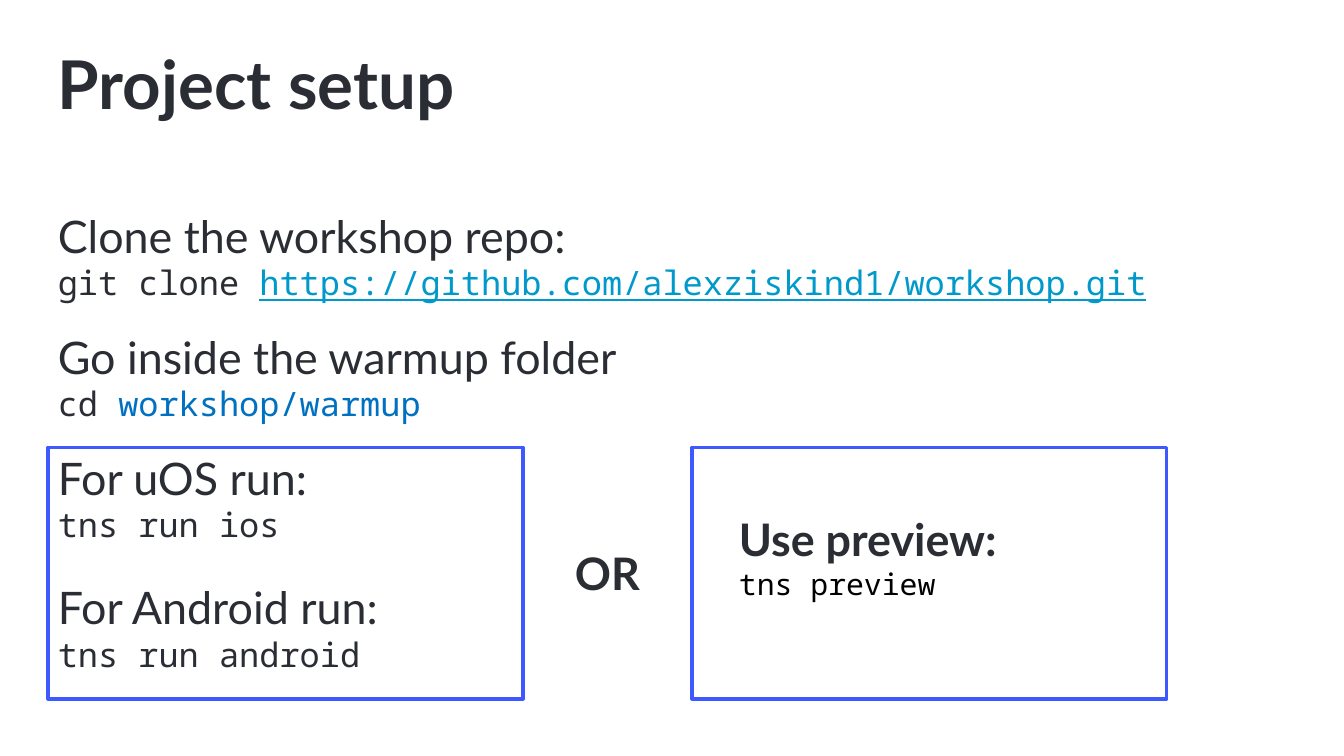
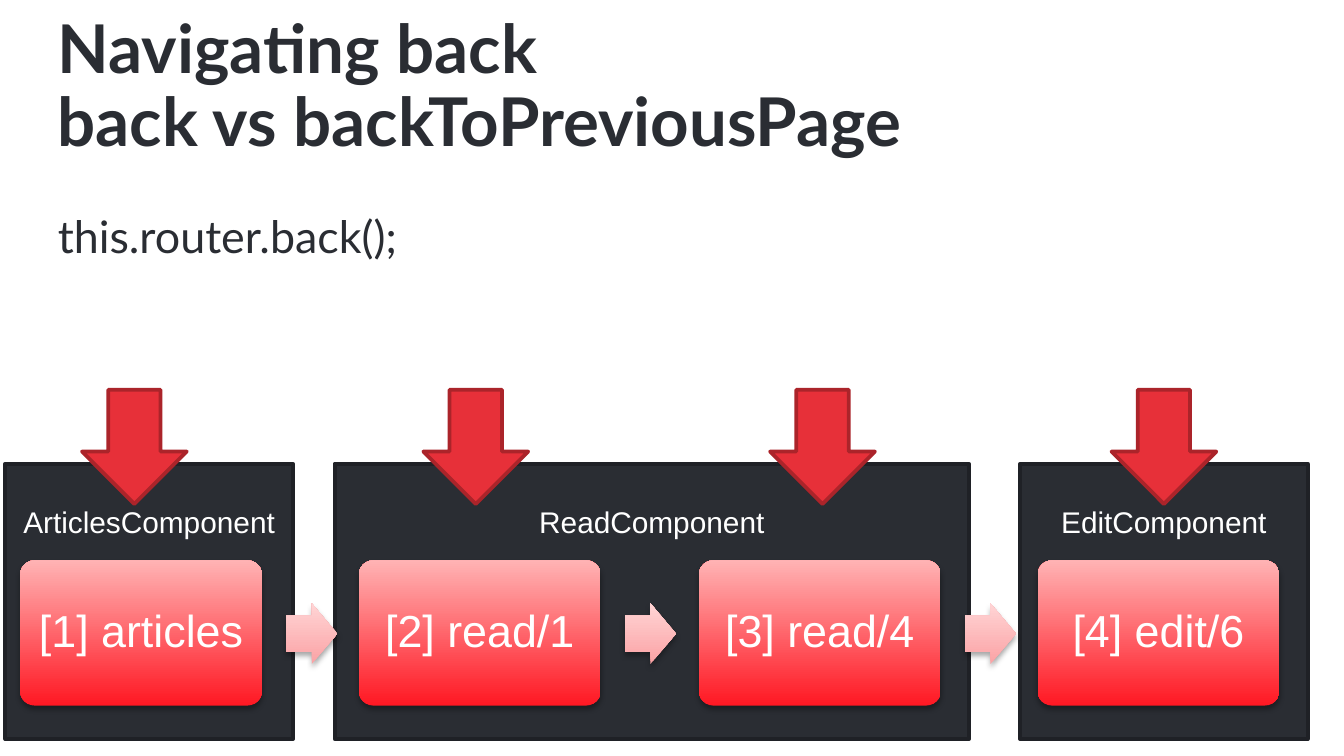
"""Builds two workshop slides: project setup and router navigation."""
from pptx import Presentation
from pptx import util as u
from pptx.dml.color import RGBColor
from pptx.enum import shapes, text
from pptx.oxml import parse_xml
from pptx.oxml import ns

PX = 9144
COLOURS = {
    "ink": "2A2D33", "white": "FFFFFF", "black": "000000", "link": "0099CC",
    "folder": "0070C0", "frame": "3D59FF", "panel_edge": "1F2126",
    "marker": "E73039", "marker_edge": "AB242A",
    "step_low": "FF1823", "step_high": "FFB3B4",
    "flow_low": "FBA3A5", "flow_high": "FFD4D5",
}
SANS, MONO, LABEL = "Lato", "Noto Sans Mono", "Arial"
KIND = shapes.MSO_SHAPE
PAGE_WIDTH = 1000
TITLE_AREA = (36, 43, 930, 45)
STEP_LEFT, STEP_PITCH, FLOW_OFFSET = 15, 252.4, 198


def px(length):
    """Turn px into EMU."""
    return u.Emu(length * PX)


def rgb(name):
    """Look up a named colour."""
    return RGBColor.from_string(COLOURS[name])


def style(font, name, size, colour="ink", bold=False):
    """Set the main traits of a font."""
    font.name, font.size, font.bold = name, u.Pt(size), bold
    font.color.rgb = rgb(colour)


def set_frame(frame, anchor, insets):
    """Set wrapping, anchor and left, top, right, bottom insets."""
    frame.word_wrap = True
    frame.auto_size = text.MSO_AUTO_SIZE.NONE
    frame.vertical_anchor = anchor
    (frame.margin_left, frame.margin_top,
     frame.margin_right, frame.margin_bottom) = map(px, insets)


def place(item, area):
    """Move and size a shape."""
    item.left, item.top, item.width, item.height = map(px, area)


def add_page(deck, title):
    """Add a slide with its title."""
    page = deck.slides.add_slide(deck.slide_layouts[1])
    place(page.shapes.title, TITLE_AREA)
    frame = page.shapes.title.text_frame
    set_frame(frame, text.MSO_ANCHOR.MIDDLE, (7, 7, 7, 7))
    frame.text = title
    para = frame.paragraphs[0]
    para.alignment = text.PP_ALIGN.LEFT
    para.line_spacing = 0.9
    style(para.font, SANS, 36, bold=True)
    return page


def fill_body(page, height, lines):
    """Fill the body with (spans, font, size, space before) lines."""
    body = page.placeholders[1]
    place(body, (36, 148, 930, height))
    frame = body.text_frame
    set_frame(frame, text.MSO_ANCHOR.TOP, (7, 7, 7, 7))
    for index, (spans, font, size, gap) in enumerate(lines):
        para = frame.add_paragraph() if index else frame.paragraphs[0]
        para.space_before = u.Pt(gap)
        props = para._p.get_or_add_pPr()
        props.set("marL", "0")
        props.set("indent", "0")
        props.append(parse_xml(f"<a:buNone {ns.nsdecls('a')}/>"))
        style(para.font, font, size)
        for words, colour in spans:
            span = para.add_run()
            span.text = words
            if colour != "ink":
                span.font.color.rgb = rgb(colour)
            if colour == "link":
                span.font.underline = True


def add_note(page, area, lines):
    """Add a text box of (words, font, size, colour, bold) lines."""
    box = page.shapes.add_textbox(*map(px, area))
    frame = box.text_frame
    frame.word_wrap = True
    frame.auto_size = text.MSO_AUTO_SIZE.SHAPE_TO_FIT_TEXT
    for index, (words, *look) in enumerate(lines):
        para = frame.add_paragraph() if index else frame.paragraphs[0]
        para.text = words
        style(para.font, *look)


def add_box(page, kind, area, fill=None, edge=None):
    """Add a flat preset shape with optional fill and outline."""
    box = page.shapes.add_shape(kind, *map(px, area))
    box.shadow.inherit = False
    if fill:
        box.fill.solid()
        box.fill.fore_color.rgb = rgb(fill)
    else:
        box.fill.background()
    if edge:
        box.line.color.rgb = rgb(edge)
        box.line.width = u.Pt(2)
    else:
        box.line.fill.background()
    return box


def add_glossy(page, kind, area, low, high, adjustments):
    """Add a shape with a vertical gradient and a soft shadow."""
    box = add_box(page, kind, area)
    for index, value in enumerate(adjustments):
        box.adjustments[index] = value
    box.fill.gradient()
    box.fill.gradient_angle = 90
    for stop, colour, position in zip(box.fill.gradient_stops, (low, high), (0, 1)):
        stop.color.rgb = rgb(colour)
        stop.position = position
    effects = box._element.spPr.find(ns.qn("a:effectLst"))
    effects.append(parse_xml(
        f'<a:outerShdw {ns.nsdecls("a")} blurRad="{u.Pt(3.1)}" dist="{u.Pt(1.8)}" '
        f'dir="5400000" rotWithShape="0"><a:srgbClr val="{COLOURS["black"]}">'
        '<a:alpha val="35000"/></a:srgbClr></a:outerShdw>'))
    return box


def write_label(box, words, size, anchor, insets):
    """Write a centred white label in a shape."""
    set_frame(box.text_frame, anchor, insets)
    para = box.text_frame.paragraphs[0]
    para.text = words
    para.alignment = text.PP_ALIGN.CENTER
    style(para.font, LABEL, size, "white")
    return para


def add_component(page, left, width, name):
    """Add a dark component panel named at its top."""
    panel = add_box(page, KIND.RECTANGLE, (left, 345, width, 205), "ink", "panel_edge")
    write_label(panel, name, 16, text.MSO_ANCHOR.TOP, (10, 30, 10, 5))


def add_step(page, left, name):
    """Add a red navigation step."""
    step = add_glossy(page, KIND.ROUNDED_RECTANGLE, (left, 417, 180, 108),
                      "step_low", "step_high", [0.1])
    para = write_label(step, name, 24, text.MSO_ANCHOR.MIDDLE, (10, 10, 10, 10))
    para.line_spacing = 0.9


def build_setup(deck):
    """Build the project setup slide."""
    page = add_page(deck, "Project setup")
    fill_body(page, 393, [
        ([("Clone the workshop repo:", "ink")], SANS, 24, 0),
        ([("git clone ", "ink"),
          ("https://github.com/alexziskind1/workshop.git", "link")], MONO, 18, 0),
        ([("Go inside the warmup folder", "ink")], SANS, 24, 14.4),
        ([("cd ", "ink"), ("workshop/warmup", "folder")], MONO, 18, 0),
        ([("For uOS run:", "ink")], SANS, 24, 14.4),
        ([("tns run ios", "ink")], MONO, 18, 0),
        ([("For Android run:", "ink")], SANS, 24, 19.2),
        ([("tns run android", "ink")], MONO, 18, 0),
    ])
    for left in (36, 515):
        add_box(page, KIND.RECTANGLE, (left, 333, 353, 187), edge="frame")
    add_note(page, (540, 376, 304, 101), [
        ("Use preview:", SANS, 24, "ink", True),
        ("tns preview", MONO, 16, "black", False),
    ])
    add_note(page, (418, 401, 304, 50), [("OR", SANS, 24, "ink", True)])


def build_navigation(deck):
    """Build the back navigation slide."""
    page = add_page(deck, "Navigating back\vback vs backToPreviousPage")
    fill_body(page, 291, [([("this.router.back();", "ink")], SANS, 24, 0)])
    for left, width, name in ((4, 214, "ArticlesComponent"),
                              (249, 472, "ReadComponent"),
                              (759, 214, "EditComponent")):
        add_component(page, left, width, name)
    steps = ("[1] articles", "[2] read/1", "[3] read/4", "[4] edit/6")
    for index, name in enumerate(steps):
        left = round(STEP_LEFT + index * STEP_PITCH)
        add_step(page, left, name)
        if index < len(steps) - 1:
            add_glossy(page, KIND.RIGHT_ARROW, (left + FLOW_OFFSET, 449, 38, 45),
                       "flow_low", "flow_high", [0.6, 0.5])
    for left in (61, 315, 573, 827):
        add_box(page, KIND.DOWN_ARROW, (left, 290, 78, 85), "marker", "marker_edge")


def main():
    """Build and save the deck."""
    deck = Presentation()
    deck.slide_width = px(PAGE_WIDTH)
    deck.slide_height = px(PAGE_WIDTH) * 9 // 16
    build_setup(deck)
    build_navigation(deck)
    deck.save("out.pptx")


if __name__ == "__main__":
    main()
